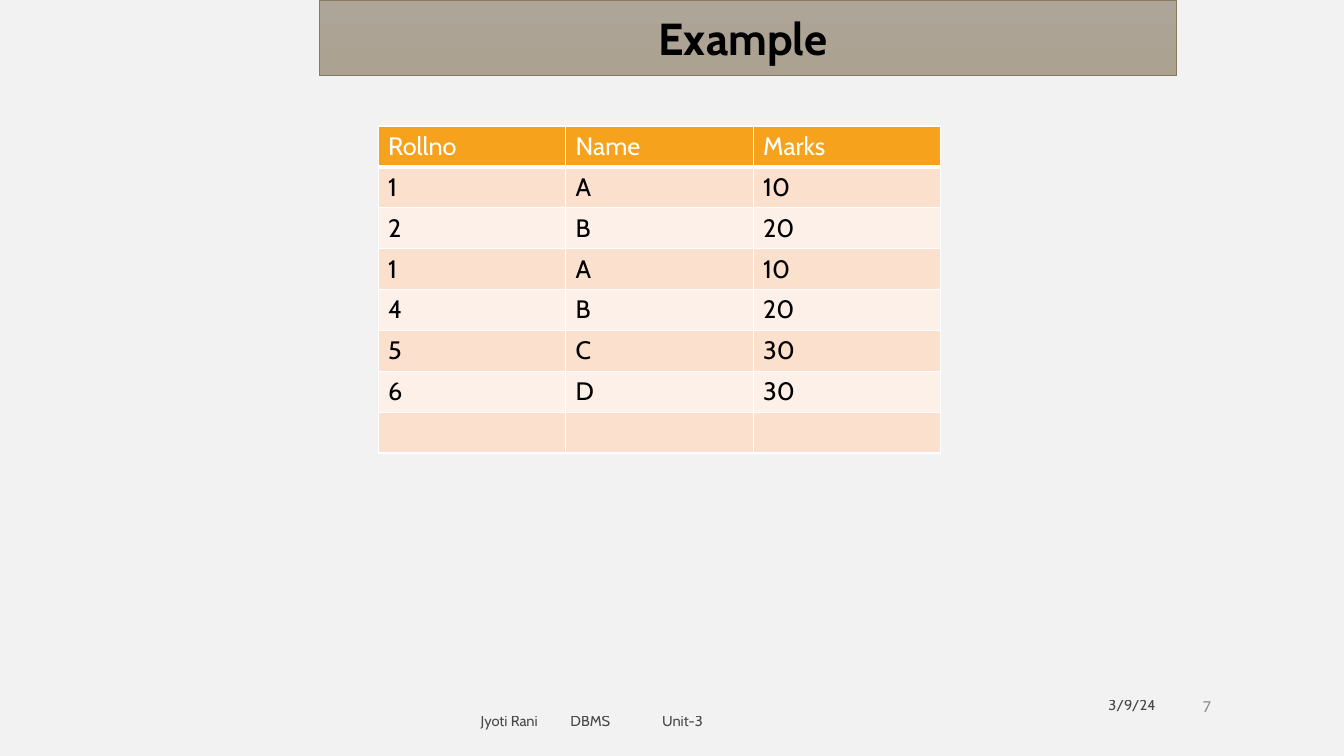
from lxml import etree
from pptx import Presentation
from pptx.dml.color import RGBColor as RGB
from pptx.enum.shapes import MSO_SHAPE as SHAPE
from pptx.enum.text import MSO_ANCHOR as ANCHOR, PP_ALIGN as ALIGN
from pptx.oxml.ns import qn
from pptx.util import Inches, Pt

THEME = {
    "font": "Cabin", "number_font": "Calibri",
    "title": 32, "body": 18, "number": 12, "footer": 10.5,
    "background": "F2F2F2", "black": "000000", "white": "FFFFFF", "gray": "898989",
    "header": "F6A21D", "bands": ["FBE0CD", "FDF0E8"],
    "banner": ["ADA597", "ABA292"], "banner_line": "87795D",
    "footer_alpha": 70,
}


def add_run(p, text, size, color, font=THEME["font"], bold=False, alpha=100):
    r = p.add_run()
    r.text = text
    r.font.name = font
    r.font.size = Pt(size)
    r.font.bold = bold
    r.font.color.rgb = RGB.from_string(color)
    if alpha < 100:
        srgb = r.font.fill._xPr.find(qn("a:solidFill"))[0]
        etree.SubElement(srgb, qn("a:alpha"), val=str(alpha * 1000))


def add_border(cell, side, width):
    ln = etree.SubElement(cell._tc.get_or_add_tcPr(), qn(f"a:ln{side}"), w=str(Pt(width)))
    fill = etree.SubElement(ln, qn("a:solidFill"))
    etree.SubElement(fill, qn("a:srgbClr"), val=THEME["white"])


prs = Presentation()
prs.slide_width, prs.slide_height = Inches(13.33), Inches(7.5)
s = prs.slides.add_slide(prs.slide_layouts[6])
s.background.fill.solid()
s.background.fill.fore_color.rgb = RGB.from_string(THEME["background"])

rows = [
    ["Rollno", "Name", "Marks"],
    ["1", "A", "10"],
    ["2", "B", "20"],
    ["1", "A", "10"],
    ["4", "B", "20"],
    ["5", "C", "30"],
    ["6", "D", "30"],
    ["", "", ""],
]
frame = s.shapes.add_table(len(rows), 3, Inches(3.75), Inches(1.25), Inches(5.58), Inches(3.2))
table = frame.table
for column in table.columns:
    column.width = Inches(1.86)
for i, row in enumerate(rows):
    table.rows[i].height = Inches(0.4)
    for j, text in enumerate(row):
        cell = table.cell(i, j)
        for side in "LRTB":
            add_border(cell, side, 3 if i == 0 and side == "B" else 1)
        cell.fill.solid()
        band = THEME["bands"][(i - 1) % 2] if i else THEME["header"]
        cell.fill.fore_color.rgb = RGB.from_string(band)
        if text:
            color = THEME["black"] if i else THEME["white"]
            add_run(cell.text_frame.paragraphs[0], text, THEME["body"], color)

footers = [
    ("3/9/24", 8.55, 6.82, 3.01, 0.35, ALIGN.RIGHT),
    ("Jyoti Rani\tDBMS\tUnit-3", 4.67, 6.95, 5.5, 0.4, ALIGN.LEFT),
]
for text, x, y, w, h, align in footers:
    tf = s.shapes.add_textbox(Inches(x), Inches(y), Inches(w), Inches(h)).text_frame
    tf.word_wrap = True
    tf.vertical_anchor = ANCHOR.MIDDLE
    p = tf.paragraphs[0]
    p.alignment = align
    if "\t" in text:
        tabs = etree.SubElement(p._p.get_or_add_pPr(), qn("a:tabLst"))
        for pos in (0.89, 1.8):
            etree.SubElement(tabs, qn("a:tab"), pos=str(Inches(pos)), algn="l")
    add_run(p, text, THEME["footer"], THEME["black"], alpha=THEME["footer_alpha"])

number = s.shapes.add_shape(SHAPE.OVAL, Inches(11.77), Inches(6.8), Inches(0.4), Inches(0.4))
number.shadow.inherit = False
number.fill.background()
number.line.fill.background()
tf = number.text_frame
tf.margin_left = tf.margin_right = Inches(0.02)
tf.vertical_anchor = ANCHOR.MIDDLE
p = tf.paragraphs[0]
p.alignment = ALIGN.CENTER
add_run(p, "7", THEME["number"], THEME["gray"], font=THEME["number_font"])

banner = s.shapes.add_shape(SHAPE.RECTANGLE, Inches(3.17), 0, Inches(8.5), Inches(0.75))
banner.shadow.inherit = False
banner.fill.gradient()
banner.fill.gradient_angle = 270
for stop, color in zip(banner.fill.gradient_stops, THEME["banner"]):
    stop.color.rgb = RGB.from_string(color)
banner.line.color.rgb = RGB.from_string(THEME["banner_line"])
banner.line.width = Pt(0.5)
tf = banner.text_frame
tf.vertical_anchor = ANCHOR.MIDDLE
p = tf.paragraphs[0]
p.alignment = ALIGN.CENTER
add_run(p, "Example ", THEME["title"], THEME["black"], bold=True)

prs.save("out.pptx")
